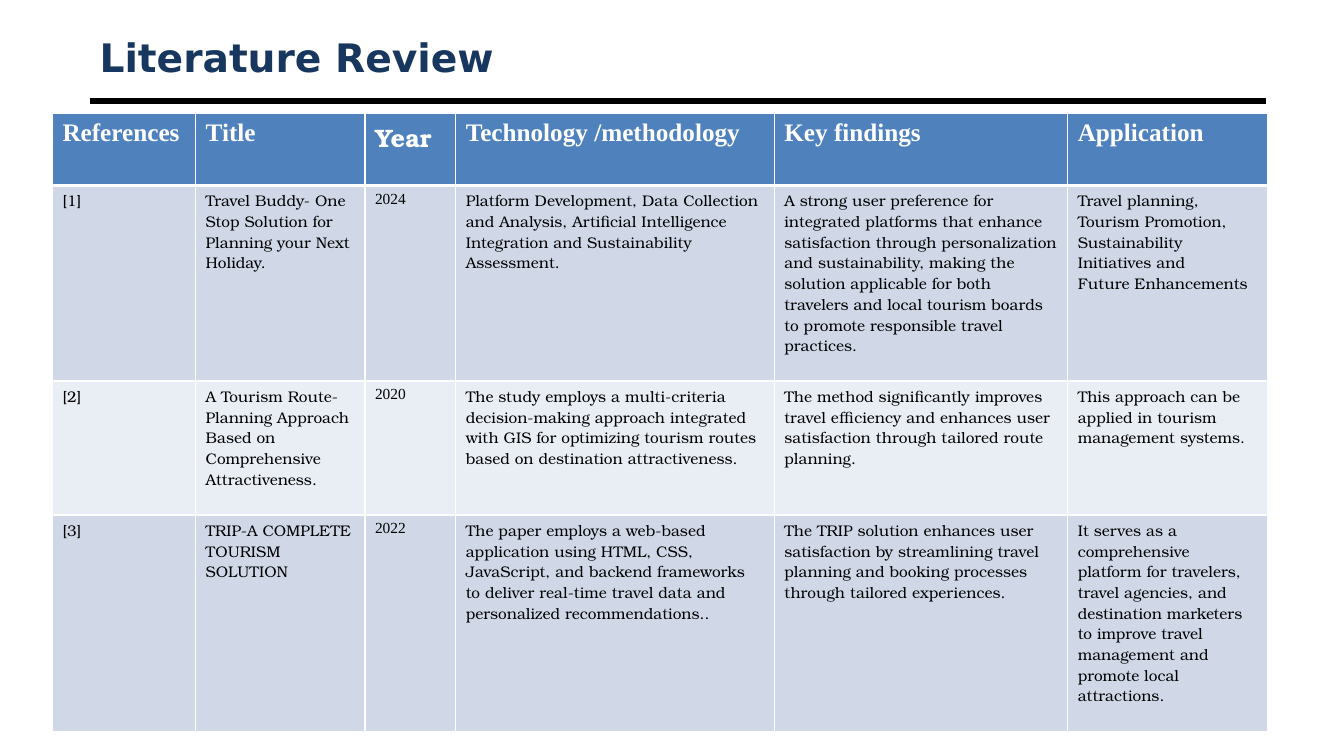
from lxml.etree import SubElement
from pptx import Presentation
from pptx.dml.color import RGBColor
from pptx.enum.shapes import MSO_CONNECTOR
from pptx.enum.text import MSO_ANCHOR
from pptx.oxml.ns import qn
from pptx.util import Inches, Pt

COLORS = {
    "title": "17375E",
    "rule": "000000",
    "header": "4F81BD",
    "odd": "D0D8E8",
    "even": "E9EDF4",
    "text": "000000",
    "white": "FFFFFF",
}
SANS, SERIF, BOOK = "DejaVu Sans", "Times New Roman", "TeX Gyre Bonum"
YEAR_COLUMN = 2
COLUMN_WIDTHS = [1.42, 1.68, 0.9, 3.16, 2.91, 1.98]
ROW_HEIGHTS = [0.71, 1.94, 1.33, 2.15]
HEADINGS = ["References", "Title", "Year", "Technology /methodology", "Key findings", "Application"]
PAPERS = [
    [
        "[1]",
        "Travel Buddy- One Stop Solution for Planning your Next Holiday.",
        "2024",
        "Platform Development, Data Collection and Analysis, Artificial Intelligence "
        "Integration and Sustainability Assessment.",
        "A strong user preference for integrated platforms that enhance satisfaction through "
        "personalization and sustainability, making the solution applicable for both travelers "
        "and local tourism boards to promote responsible travel practices.",
        "Travel planning, Tourism Promotion,\nSustainability Initiatives and\nFuture Enhancements",
    ],
    [
        "[2]",
        "A Tourism Route-Planning Approach Based on Comprehensive Attractiveness.",
        "2020",
        "The study employs a multi-criteria decision-making approach integrated with GIS for "
        "optimizing tourism routes based on destination attractiveness.",
        "The method significantly improves travel efficiency and enhances user satisfaction "
        "through tailored route planning.",
        "This approach can be applied in tourism management systems.",
    ],
    [
        "[3]",
        "TRIP-A COMPLETE TOURISM SOLUTION",
        "2022",
        "The paper employs a web-based application using HTML, CSS, JavaScript, and backend "
        "frameworks to deliver real-time travel data and personalized recommendations..",
        "The TRIP solution enhances user satisfaction by streamlining travel planning and "
        "booking processes through tailored experiences.",
        "It serves as a comprehensive platform for travelers, travel agencies, and destination "
        "marketers to improve travel management and promote local attractions.",
    ],
]


def rgb(name):
    return RGBColor.from_string(COLORS[name])


def write_text(frame, text, font=BOOK, size=11, color="text", bold=False):
    frame.word_wrap = True
    for index, line in enumerate(text.split("\n")):
        paragraph = frame.add_paragraph() if index else frame.paragraphs[0]
        run = paragraph.add_run()
        run.text = line
        run.font.name = font
        run.font.size = Pt(size)
        run.font.bold = bold
        run.font.color.rgb = rgb(color)


class ReviewSlide:
    def __init__(self, presentation):
        self.slide = presentation.slides.add_slide(presentation.slide_layouts[6])
        self.border_color = COLORS["white"]

    def rule(self, left, top, right, width):
        connector = self.slide.shapes.add_connector(
            MSO_CONNECTOR.STRAIGHT, Inches(left), Inches(top), Inches(right), Inches(top)
        )
        connector.line.color.rgb = rgb("rule")
        connector.line.width = Pt(width)
        SubElement(connector._element.spPr, qn("a:effectLst"))

    def title(self, text, left, top, width, height):
        frame = self.slide.shapes.add_textbox(
            Inches(left), Inches(top), Inches(width), Inches(height)
        ).text_frame
        frame.vertical_anchor = MSO_ANCHOR.MIDDLE
        write_text(frame, text, font=SANS, size=28, color="title", bold=True)

    def borders(self, cell, top, bottom):
        properties = cell._tc.get_or_add_tcPr()
        for side, width in (("L", 1), ("R", 1), ("T", top), ("B", bottom)):
            line = SubElement(properties, qn(f"a:ln{side}"), w=str(Pt(width)))
            fill = SubElement(line, qn("a:solidFill"))
            SubElement(fill, qn("a:srgbClr"), val=self.border_color)

    def table(self, rows, left, top, widths, heights):
        table = self.slide.shapes.add_table(
            len(rows), len(widths), Inches(left), Inches(top),
            Inches(sum(widths)), Inches(sum(heights)),
        ).table
        for column, width in zip(table.columns, widths):
            column.width = Inches(width)
        for row, height in zip(table.rows, heights):
            row.height = Inches(height)
        for row_index, texts in enumerate(rows):
            for column_index, text in enumerate(texts):
                cell = table.cell(row_index, column_index)
                is_header = row_index == 0
                is_year = column_index == YEAR_COLUMN
                self.borders(cell, top=3 if row_index == 1 else 1, bottom=3 if is_header else 1)
                cell.fill.solid()
                if is_header:
                    cell.fill.fore_color.rgb = rgb("header")
                    write_text(cell.text_frame, text, font=BOOK if is_year else SERIF,
                               size=18, color="white", bold=True)
                else:
                    cell.fill.fore_color.rgb = rgb("odd" if row_index % 2 else "even")
                    write_text(cell.text_frame, text, font=SERIF if is_year else BOOK)


def main():
    presentation = Presentation()
    presentation.slide_width = Inches(13.33)
    presentation.slide_height = Inches(7.5)
    review = ReviewSlide(presentation)
    review.rule(0.89, 1, 12.56, 4.5)
    review.title("Literature Review", 0.89, 0.3, 11.67, 0.53)
    review.table([HEADINGS, *PAPERS], 0.52, 1.13, COLUMN_WIDTHS, ROW_HEIGHTS)
    presentation.save("out.pptx")


if __name__ == "__main__":
    main()
